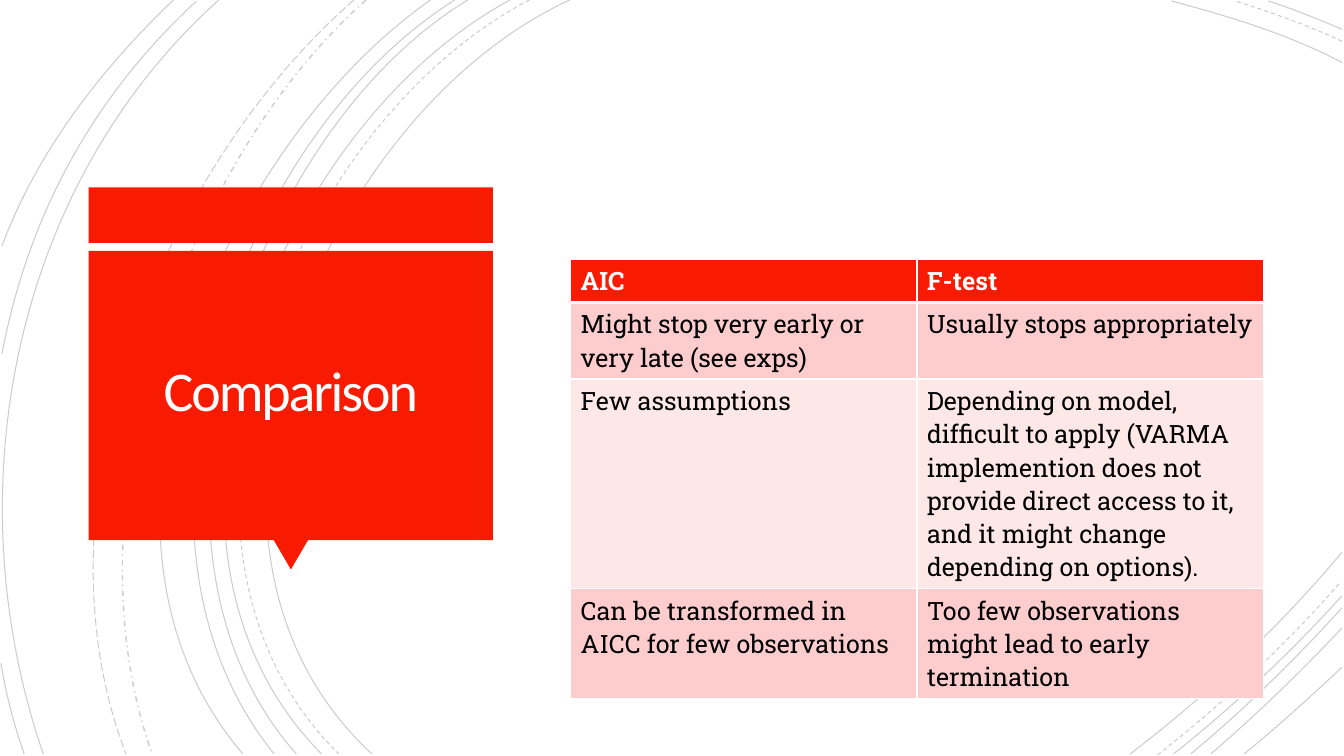
import pptx
import pptx.util
import pptx.dml.color
import pptx.enum.dml
import pptx.enum.shapes
import pptx.enum.text
import pptx.oxml.ns
import lxml.etree

Inches = pptx.util.Inches
Pt = pptx.util.Pt
Dash = pptx.enum.dml.MSO_LINE
Preset = pptx.enum.shapes.MSO_SHAPE
qn = pptx.oxml.ns.qn

COLORS = {"red": "F81B02", "title": "FFFEFF", "white": "FFFFFF", "black": "000000",
          "dark band": "FCCDCC", "light band": "FEE8E7"}

# Each arc: start, two control points, end
SOLID_ARCS = [
    ((5.65, 0), (3.15, 1.15), (1.43, 5.4), (3.69, 7.48)),
    ((13.31, 0.62), (12.78, 0.34), (12.18, 0.16), (11.62, 0.01)),
    ((11.21, 7.48), (11.97, 6.9), (12.69, 6.22), (13.31, 5.48)),
    ((5.06, 0), (2.7, 1.27), (1.1, 5.37), (3.19, 7.48)),
    ((13.31, 0.29), (13.07, 0.19), (12.83, 0.09), (12.58, 0.01)),
    ((11.64, 7.48), (12.23, 7.01), (12.8, 6.48), (13.31, 5.91)),
    ((4.64, 0), (2.44, 1.33), (1.1, 5.41), (2.94, 7.48)),
    ((11.81, 7.48), (12.34, 7.04), (12.84, 6.55), (13.31, 6.03)),
    ((4.51, 0), (2.31, 1.38), (0.97, 5.33), (2.72, 7.48)),
    ((12.01, 7.48), (12.46, 7.09), (12.9, 6.67), (13.31, 6.23)),
    ((4.27, 0), (2.17, 1.47), (0.53, 5.29), (2.41, 7.48)),
    ((12.34, 7.48), (12.67, 7.21), (12.99, 6.92), (13.31, 6.62)),
    ((2.17, 0), (0.11, 1.85), (-0.46, 4.9), (0.43, 7.48)),
    ((1.95, 0.01), (0.92, 0.96), (0.28, 2.14), (0.02, 3.51)),
    ((0.01, 6.58), (0.06, 6.89), (0.14, 7.19), (0.24, 7.48)),
    ((1.72, 0), (1, 0.69), (0.37, 1.5), (0.02, 2.44)),
]
DASHED_ARCS = [
    ((5.25, 0), (2.85, 1.25), (1.23, 5.37), (3.36, 7.48)),
    ((13.31, 0.41), (12.97, 0.25), (12.6, 0.12), (12.25, 0.01)),
    ((11.48, 7.49), (12.13, 6.98), (12.75, 6.4), (13.3, 5.77)),
]
DASH_DOT_ARCS = [((3.63, 0), (1.76, 1.66), (0.65, 5.09), (1.51, 7.48))]
LONG_DASH_ARCS = [((3.51, 0), (1.57, 1.69), (0.29, 4.99), (1.25, 7.48))]

ARC_STYLES = [
    (SOLID_ARCS, Dash.SOLID, 0.75),
    (DASHED_ARCS, Dash.DASH, 0.75),
    (DASH_DOT_ARCS, Dash.DASH_DOT, 1),
    (LONG_DASH_ARCS, Dash.LONG_DASH, 0.75),
]

COMPARISON = [
    ("AIC", "F-test"),
    ("Might stop very early or very late (see exps)", "Usually stops appropriately"),
    ("Few assumptions",
     "Depending on model, difficult to apply (VARMA implemention does not provide "
     "direct access to it, and it might change depending on options)."),
    ("Can be transformed in AICC for few observations",
     "Too few observations might lead to early termination"),
]
TEXT_LINES = [1, 2, 6, 3]  # lines in the tallest cell of each row


def color(name):
    return pptx.dml.color.RGBColor.from_string(COLORS[name])


def add_run(paragraph, text, font_name, size, color_name, bold=False):
    run = paragraph.add_run()
    run.text = text
    run.font.name = font_name
    run.font.size = Pt(size)
    run.font.bold = bold
    run.font.color.rgb = color(color_name)
    return run


# Background arcs
def add_arc(slide, left, top, points, dash, width):
    start, *rest = [(Inches(left + x), Inches(top + y)) for x, y in points]
    builder = slide.shapes.build_freeform(*start)
    builder.add_line_segments(rest, close=False)
    shape = builder.convert_to_shape()
    shape.shadow.inherit = False
    shape.fill.background()
    shape.line.color.rgb = color("black")
    shape.line.width = Pt(width)
    shape.line.dash_style = dash

    # Turn the three straight segments into one Bezier curve
    outline = shape.element.find(".//" + qn("a:path"))
    curve = lxml.etree.SubElement(outline, qn("a:cubicBezTo"))
    for segment in outline.findall(qn("a:lnTo")):
        curve.append(segment[0])
        outline.remove(segment)

    line_color = shape.element.find(".//" + qn("a:ln")).find(".//" + qn("a:srgbClr"))
    lxml.etree.SubElement(line_color, qn("a:alpha"), val="20000")


def add_background(slide, left, top):
    for arcs, dash, width in ARC_STYLES:
        for points in arcs:
            add_arc(slide, left, top, points, dash, width)


# Red title panel: strip, pointer, block and title
def add_title_panel(slide, left, top, width, height, title):
    strip_height, gap, pointer_width, pointer_height = 0.55, 0.08, 0.35, 0.3
    overlap = 0.01
    block_top = top + strip_height + gap
    block_height = height - strip_height - gap - pointer_height
    pointer_left = left + (width - pointer_width) / 2
    parts = [
        (Preset.RECTANGLE, left, top, width, strip_height, 0),
        (Preset.ISOSCELES_TRIANGLE, pointer_left, block_top + block_height - overlap,
         pointer_width, pointer_height, 180),
        (Preset.RECTANGLE, left, block_top, width, block_height, 0),
    ]
    for preset, *box, rotation in parts:
        shape = slide.shapes.add_shape(preset, *map(Inches, box))
        shape.shadow.inherit = False
        shape.rotation = rotation
        shape.fill.solid()
        shape.fill.fore_color.rgb = color("red")
        shape.line.fill.background()

    margin = 0.09
    text_box = slide.shapes.add_textbox(
        Inches(left + margin), Inches(block_top + margin - overlap),
        Inches(width - 2 * margin), Inches(block_height - 2 * margin))
    frame = text_box.text_frame
    frame.word_wrap = True
    frame.vertical_anchor = pptx.enum.text.MSO_ANCHOR.MIDDLE
    frame.margin_left = frame.margin_right = Inches(0.25)
    frame.margin_top = frame.margin_bottom = Inches(0.25)
    paragraph = frame.paragraphs[0]
    paragraph.alignment = pptx.enum.text.PP_ALIGN.CENTER
    paragraph.line_spacing = 0.85
    run = add_run(paragraph, title, "Calibri", 40, "title")
    run.font._element.set("spc", "-150")


# Comparison table
def set_borders(cell, widths):
    properties = cell._tc.get_or_add_tcPr()
    for side, width in widths.items():
        border = lxml.etree.SubElement(properties, qn("a:ln" + side), w=str(Pt(width)))
        fill = lxml.etree.SubElement(border, qn("a:solidFill"))
        lxml.etree.SubElement(fill, qn("a:srgbClr"), val=COLORS["white"])


def add_comparison_table(slide, left, top, width, rows, text_lines):
    line_height, row_padding = 0.33, 0.1
    heights = [line_height * count + row_padding for count in text_lines]
    graphic = slide.shapes.add_table(
        len(rows), len(rows[0]), Inches(left), Inches(top), Inches(width),
        Inches(sum(heights)))
    table = graphic.table
    for row_index, texts in enumerate(rows):
        table.rows[row_index].height = Inches(heights[row_index])
        header = row_index == 0
        band = "red" if header else "dark band" if row_index % 2 else "light band"
        for column_index, text in enumerate(texts):
            cell = table.cell(row_index, column_index)
            set_borders(cell, {"L": 1, "R": 1, "T": 3 if row_index == 1 else 1,
                               "B": 3 if header else 1})
            cell.fill.solid()
            cell.fill.fore_color.rgb = color(band)
            add_run(cell.text_frame.paragraphs[0], text, "Roboto Slab", 18,
                    "white" if header else "black", bold=header)


presentation = pptx.Presentation()
presentation.slide_width = Inches(13.33)
presentation.slide_height = Inches(7.5)
slide = presentation.slides.add_slide(presentation.slide_layouts[6])

add_background(slide, 0, 0)
add_title_panel(slide, 0.88, 1.86, 4.01, 3.8, "Comparison")
add_comparison_table(slide, 5.66, 2.57, 6.87, COMPARISON, TEXT_LINES)

presentation.save("out.pptx")
